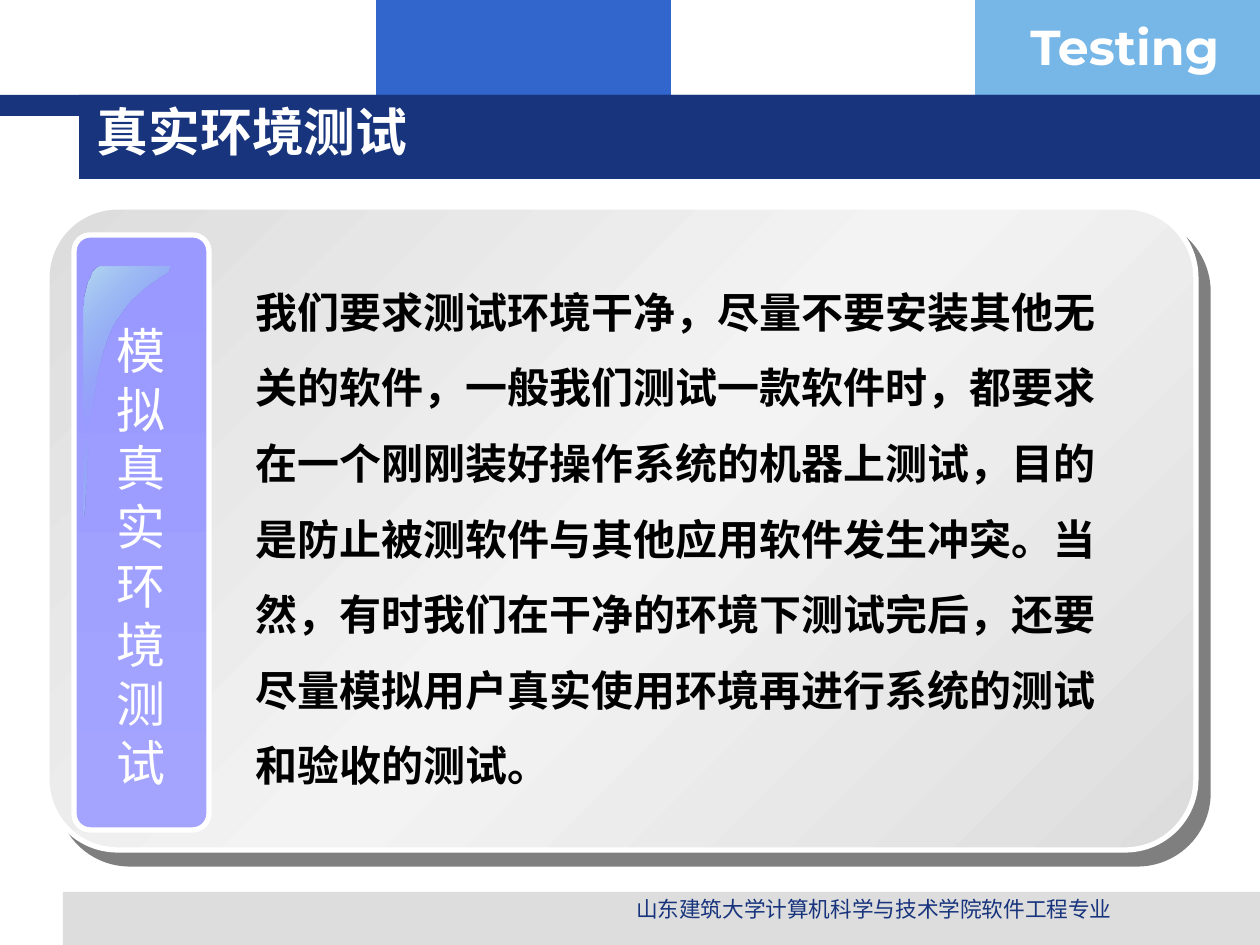
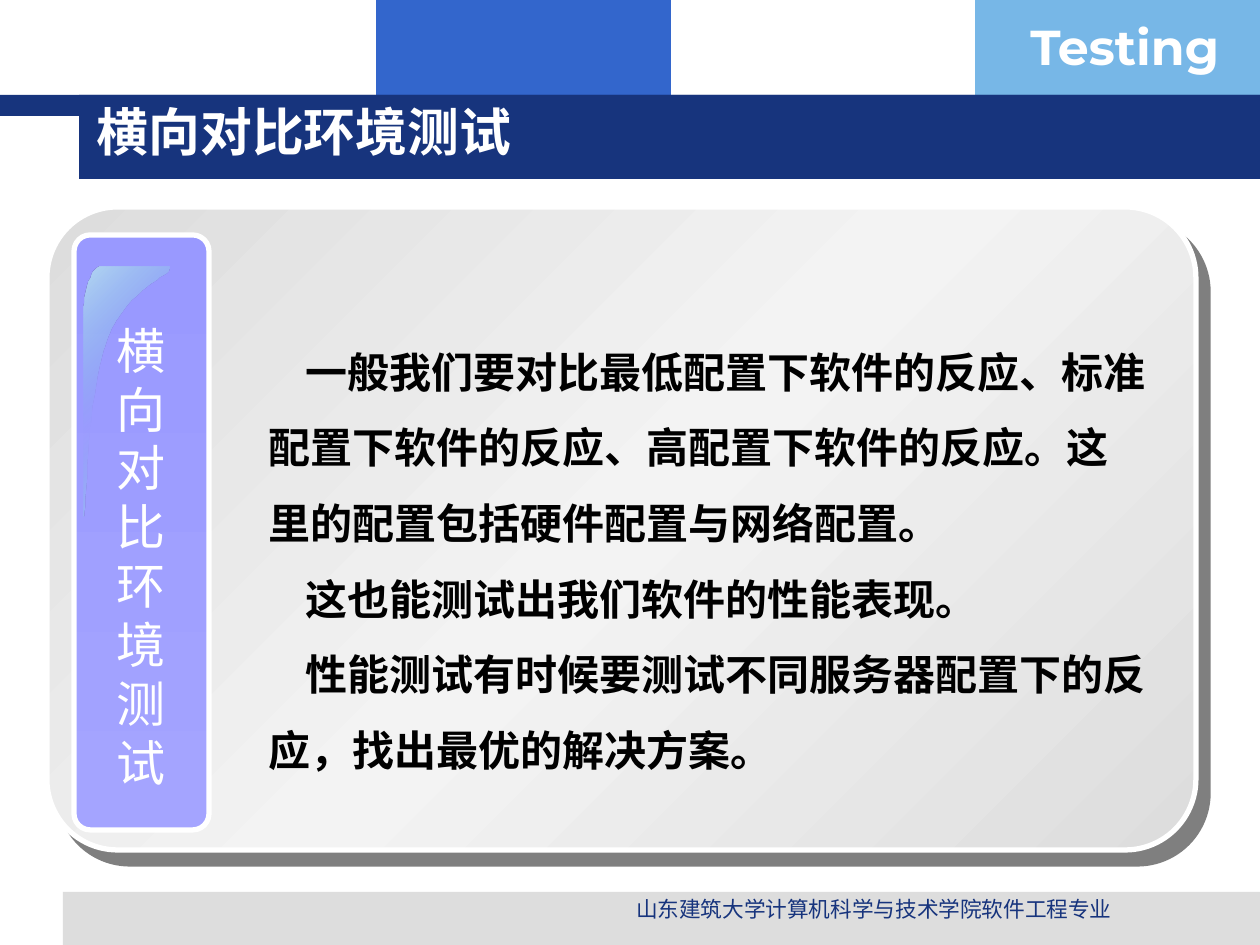
from dataclasses import dataclass

from lxml import etree
from pptx import Presentation
from pptx import util as u
from pptx.dml.color import RGBColor
from pptx.enum import lang, shapes, text
from pptx.oxml import ns

SLIDES = [
    {
        "title": "真实环境测试",
        "tab": "模拟真实环境测试",
        "body_box": (243, 255, 903, 542),
        "first_line": 0,
        "body": [
            "我们要求测试环境干净，尽量不要安装其他无关的软件，一般我们测试一款软件时，"
            "都要求在一个刚刚装好操作系统的机器上测试，目的是防止被测软件与其他应用软件"
            "发生冲突。当然，有时我们在干净的环境下测试完后，还要尽量模拟用户真实使用"
            "环境再进行系统的测试和验收的测试。",
        ],
    },
    {
        "title": "横向对比环境测试",
        "tab": "横向对比环境测试",
        "body_box": (256, 315, 903, 466),
        "first_line": 37,
        "body": [
            "一般我们要对比最低配置下软件的反应、标准配置下软件的反应、高配置下软件的"
            "反应。这里的配置包括硬件配置与网络配置。",
            "这也能测试出我们软件的性能表现。",
            "性能测试有时候要测试不同服务器配置下的反应，找出最优的解决方案。",
        ],
    },
]
COURSE = "Testing"
FOOTER = "山东建筑大学计算机科学与技术学院软件工程专业"


@dataclass(frozen=True)
class Style:
    """Type style: font name, size in points, colour, weight."""
    font: str
    size: float
    color: str
    bold: bool = False


class Theme:
    navy, blue, sky, grey, white = "17347D", "3366CC", "77B7E7", "DDDDDD", "FFFFFF"
    # gradient stops: position %, colour, opacity %
    card = [(0, grey, 100), (50, "F3F3F3", 100), (100, grey, 100)]
    tab = [(0, "9999FF", 100), (100, "A4A4FF", 100)]
    glare = [(0, "B5D8F2", 100), (50, sky, 0), (100, "B5D8F2", 100)]
    outline = 3
    title = Style("DejaVu Sans", 29.6, white, True)
    course = Style("Montserrat", 28, white, True)
    tab_text = Style("Arial", 28, white)
    body = Style("Arial", 24, "000000", True)
    footer = Style("Arial", 12.4, navy)


BANDS = [
    ((376, 0, 295, 116), Theme.blue),
    ((975, 0, 285, 116), Theme.sky),
    ((63, 892, 1197, 53), Theme.grey),
    ((0, 95, 1260, 21), Theme.navy),
    ((79, 95, 1181, 84), Theme.navy),
]
TITLE_BOX = (84, 96, 1075, 78)
COURSE_BOX = (1018, 10, 243, 72)
FOOTER_BOX = (512, 890, 724, 39)
CARD_BOX = (44 + 3, 207, 1149, 643)
TAB_BOX = (74, 235, 135, 595)
TAB_TEXT_BOX = (103, 314, 77, 484)
GLARE_START = (102, 267)
# each curve: two control points and an end point
GLARE_CURVES = [
    ((92, 267), (84, 290), (84, 318)),
    ((84, 384), (84, 450), (84, 517)),
    ((88, 520), (86, 398), (108, 340)),
    ((130, 284), (171, 280), (170, 267)),
]

EMU_PER_PX = 914400 / 126


def px(n):
    return u.Emu(round(n * EMU_PER_PX))


def box(bounds):
    return [px(n) for n in bounds]


def outer_shadow(color, opacity, distance, angle):
    effects = etree.Element(ns.qn("a:effectLst"))
    shadow = etree.SubElement(effects, ns.qn("a:outerShdw"), blurRad="0",
                              dist=str(u.Pt(distance)), dir=str(angle * 60000),
                              algn="ctr", rotWithShape="0")
    tint = etree.SubElement(shadow, ns.qn("a:srgbClr"), val=color)
    etree.SubElement(tint, ns.qn("a:alpha"), val=str(opacity * 1000))
    return effects


def fill_gradient(shape, stops, angle):
    """Fill with (position, colour, opacity) stops; angle runs clockwise."""
    shape.fill.gradient()
    gradient = shape._element.spPr.find(ns.qn("a:gradFill"))
    for child in list(gradient):
        gradient.remove(child)
    stop_list = etree.SubElement(gradient, ns.qn("a:gsLst"))
    for position, color, opacity in stops:
        stop = etree.SubElement(stop_list, ns.qn("a:gs"), pos=str(position * 1000))
        tint = etree.SubElement(stop, ns.qn("a:srgbClr"), val=color)
        if opacity < 100:
            etree.SubElement(tint, ns.qn("a:alpha"), val=str(opacity * 1000))
    etree.SubElement(gradient, ns.qn("a:lin"), ang=str(angle * 60000), scaled="0")


def write(frame, lines, style, align=text.PP_ALIGN.LEFT, spacing=1.0, first_line=0):
    frame.word_wrap = True
    frame.auto_size = text.MSO_AUTO_SIZE.NONE
    for i, line in enumerate(lines):
        paragraph = frame.paragraphs[0] if i == 0 else frame.add_paragraph()
        paragraph.alignment = align
        paragraph.line_spacing = spacing
        if first_line:
            properties = paragraph._p.get_or_add_pPr()
            properties.set("marL", "0")
            properties.set("indent", str(px(first_line)))
        run = paragraph.add_run()
        run.text = line
        font = run.font
        font.name, font.size, font.bold = style.font, u.Pt(style.size), style.bold
        font.color.rgb = RGBColor.from_string(style.color)
        font.language_id = lang.MSO_LANGUAGE_ID.SIMPLIFIED_CHINESE


def add_text(parent, bounds, lines, style, **layout):
    label = parent.add_textbox(*box(bounds))
    write(label.text_frame, lines, style, **layout)
    return label


def add_panel(parent, bounds, corner, stops, angle):
    """Rounded gradient panel with a white outline."""
    panel = parent.add_shape(shapes.MSO_SHAPE.ROUNDED_RECTANGLE, *box(bounds))
    panel.adjustments[0] = corner
    panel.shadow.inherit = False
    fill_gradient(panel, stops, angle)
    panel.line.color.rgb = RGBColor.from_string(Theme.white)
    panel.line.width = u.Pt(Theme.outline)
    return panel


def curve_points(start, curves, steps=16):
    """Points along a chain of cubic Bézier curves."""
    points = []
    for c1, c2, end in curves:
        for step in range(1, steps + 1):
            t = step / steps
            s = 1 - t
            points.append(tuple(
                s**3 * a + 3 * s * s * t * b + 3 * s * t * t * c + t**3 * d
                for a, b, c, d in zip(start, c1, c2, end)))
        start = end
    return points


def add_glare(parent):
    outline = parent.build_freeform(*GLARE_START, scale=EMU_PER_PX)
    outline.add_line_segments(curve_points(GLARE_START, GLARE_CURVES), close=True)
    glare = outline.convert_to_shape()
    glare.shadow.inherit = False
    fill_gradient(glare, Theme.glare, 45)
    glare.line.fill.background()


def add_card(slide, tab_label):
    group = slide.shapes.add_group_shape().shapes
    card = add_panel(group, CARD_BOX, 0.11, Theme.card, 45)
    properties = card._element.spPr
    properties.replace(properties.find(ns.qn("a:effectLst")),
                       outer_shadow("000000", 50, 10.6, 49))
    add_panel(group, TAB_BOX, 0.12, Theme.tab, 90)
    add_glare(group)
    label = add_text(group, TAB_TEXT_BOX, [tab_label], Theme.tab_text,
                     align=text.PP_ALIGN.CENTER)
    run = label.text_frame.paragraphs[0].runs[0]
    run._r.rPr.find(ns.qn("a:solidFill")).addnext(outer_shadow("000000", 100, 2, 45))


def decorate_layout(layout, slide):
    """Draw the shared bands and course name, then hand them to the layout."""
    shared = []
    for bounds, color in BANDS:
        band = slide.shapes.add_shape(shapes.MSO_SHAPE.RECTANGLE, *box(bounds))
        band.shadow.inherit = False
        band.fill.solid()
        band.fill.fore_color.rgb = RGBColor.from_string(color)
        band.line.fill.background()
        shared.append(band)
    shared.append(add_text(slide.shapes, COURSE_BOX, [COURSE], Theme.course))
    for part in shared:
        layout.shapes._spTree.append(part._element)


def add_content(slide, content):
    title = slide.shapes.title
    title.left, title.top, title.width, title.height = box(TITLE_BOX)
    title.text_frame.vertical_anchor = text.MSO_ANCHOR.MIDDLE
    write(title.text_frame, [content["title"]], Theme.title, spacing=0.9)
    add_text(slide.shapes, FOOTER_BOX, [FOOTER], Theme.footer,
             align=text.PP_ALIGN.CENTER)
    add_card(slide, content["tab"])
    add_text(slide.shapes, content["body_box"], content["body"], Theme.body,
             spacing=1.5, first_line=content["first_line"])


def main():
    deck = Presentation()
    deck.slide_width, deck.slide_height = px(1260), px(945)
    title_only = deck.slide_layouts[5]
    for number, content in enumerate(SLIDES):
        slide = deck.slides.add_slide(title_only)
        if number == 0:
            decorate_layout(title_only, slide)
        add_content(slide, content)
    deck.save("out.pptx")


if __name__ == "__main__":
    main()
